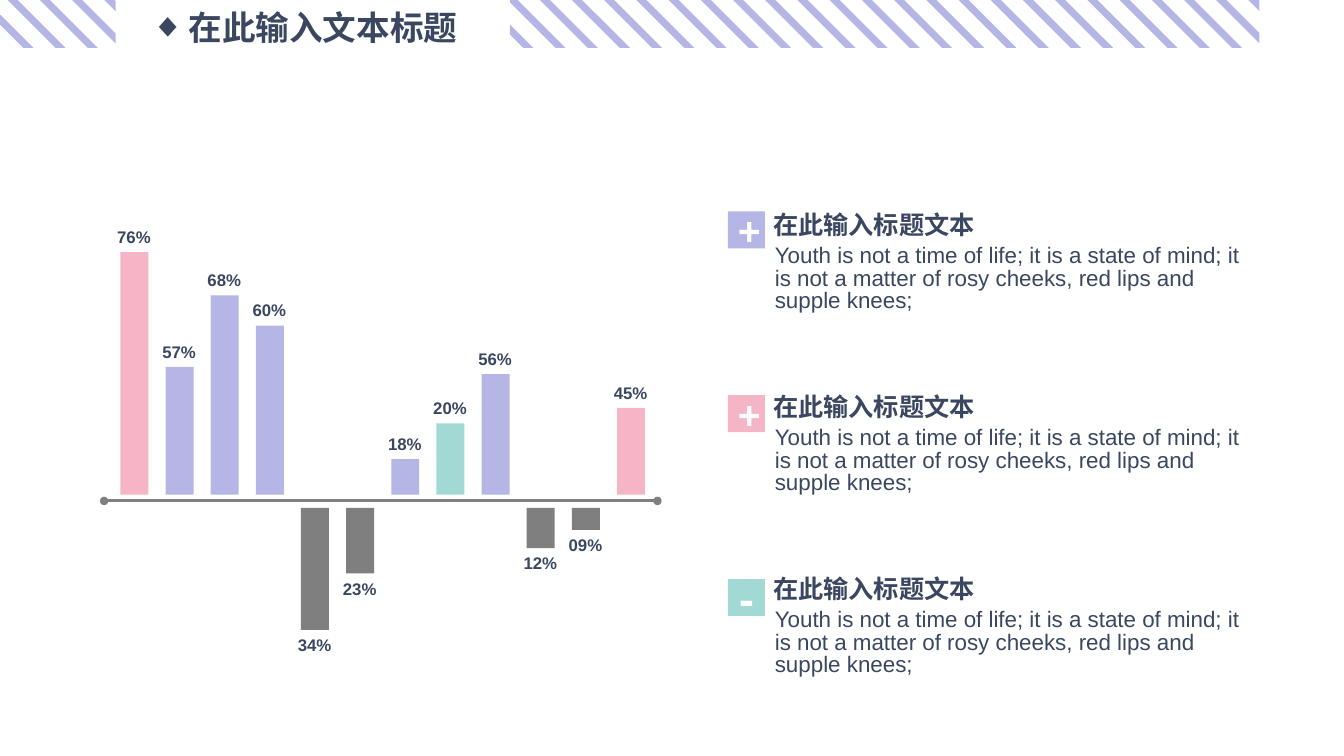
from lxml import etree
from pptx import Presentation
from pptx.dml.color import RGBColor
from pptx.enum import shapes, text
from pptx.oxml import ns
from pptx.util import Pt

COLORS = {"lilac": "B5B6E6", "pink": "F5B5C6", "mint": "A2D9D4", "gray": "7F7F7F",
          "axis": "808080", "ink": "3B4761", "white": "FFFFFF"}

# Header stripes: (left, right, bottom end of first stripe, number of stripes)
BANDS = [(364.3, 899.5, 373.7, 25), (-44.8, 82.6, 16.6, 5)]
STRIPE_W, STRIPE_H, STRIPE_PITCH = 7.2, 61.4, 23.01
BAND_TOP = -27.2  # the band bleeds over the top edge

# Bars: label, height (negative below the axis), colour
BARS = [("76%", 173.2, "pink"), ("57%", 91.4, "lilac"), ("68%", 142.4, "lilac"),
        ("60%", 120.8, "lilac"), ("34%", -87.2, "gray"), ("23%", -46.8, "gray"),
        ("18%", 25.4, "lilac"), ("20%", 51, "mint"), ("56%", 86.2, "lilac"),
        ("12%", -28.8, "gray"), ("09%", -15.8, "gray"), ("45%", 62.1, "pink")]
BAR_LEFT, BAR_PITCH, BAR_W = 86, 32.25, 20
BASE_UP, BASE_DOWN = 353.4, 362.8
LABEL_W, LABEL_H = 38.8, 21.8

# List items: sign, sign size, colour
ITEMS = [("+", 28, "lilac"), ("+", 28, "pink"), ("-", 32, "mint")]
ITEM_HEADING = "在此输入标题文本"
ITEM_BODY = ("Youth is not a time of life; it is a state of mind; it is not "
             "a matter of rosy cheeks, red lips and supple knees;")


def rgb(name):
    return RGBColor.from_string(COLORS[name])


def write(sp, content, size, color="ink", bold=True, frame=None, para=None):
    tf = sp.text_frame
    for key, value in (frame or {}).items():
        setattr(tf, key, value)
    p = tf.paragraphs[0]
    for key, value in (para or {}).items():
        setattr(p, key, value)
    r = p.add_run()
    r.text = content
    for key, value in {"name": "Arial", "size": Pt(size), "bold": bold}.items():
        setattr(r.font, key, value)
    r.font.color.rgb = rgb(color)
    return p


def paint(sp, color):
    sp.shadow.inherit = False
    sp.fill.solid()
    sp.fill.fore_color.rgb = rgb(color)
    sp.line.fill.background()


def add_rect(s, x, y, w, h, color):
    sp = s.shapes.add_shape(shapes.MSO_SHAPE.RECTANGLE, Pt(x), Pt(y), Pt(w), Pt(h))
    paint(sp, color)
    return sp


def add_text(s, x, y, w, h, content, size, wrap=False, bold=True, para=None):
    sp = s.shapes.add_textbox(Pt(x), Pt(y), Pt(w), Pt(h))
    frame = {"word_wrap": wrap, "auto_size": text.MSO_AUTO_SIZE.SHAPE_TO_FIT_TEXT}
    write(sp, content, size, bold=bold, frame=frame, para=para)


def add_stripe(s, left, right, bottom):
    """A 45-degree stripe cut off at the left and right ends of its band."""
    a = bottom - STRIPE_H
    b = a + STRIPE_W
    top_x, end_x = max(a, left), min(b + STRIPE_H, right)
    points = [(top_x, max(0, left - a)),
              (top_x, max(0, left - b)),
              (max(b, left), max(0, left - b)),
              (end_x, min(STRIPE_H, right - b)),
              (end_x, min(STRIPE_H, right - a)),
              (min(bottom, right), min(STRIPE_H, right - a))]
    points = [(Pt(x), Pt(BAND_TOP + y)) for x, y in points]
    builder = s.shapes.build_freeform(*points[0])
    builder.add_line_segments(points[1:])
    paint(builder.convert_to_shape(), "lilac")


def add_title(s, content):
    sp = s.shapes.title
    for key, value in {"left": 100.5, "top": 1.3, "width": 263.5, "height": 36.4}.items():
        setattr(sp, key, Pt(value))
    p = write(sp, content, 24,
              frame={"word_wrap": True, "vertical_anchor": text.MSO_ANCHOR.TOP,
                     "auto_size": text.MSO_AUTO_SIZE.NONE},
              para={"alignment": text.PP_ALIGN.LEFT, "space_before": Pt(0)})
    # Diamond bullet with hanging indent
    pPr = p._p.get_or_add_pPr()
    pPr.set("marL", str(Pt(27)))
    pPr.set("indent", str(-Pt(27)))
    etree.SubElement(pPr, ns.qn("a:buFont")).set("typeface", "Arial")
    etree.SubElement(pPr, ns.qn("a:buChar")).set("char", "◆")


def add_axis(s, x1, x2, y):
    line = s.shapes.add_connector(shapes.MSO_CONNECTOR.STRAIGHT, Pt(x1), Pt(y), Pt(x2), Pt(y))
    line.line.color.rgb = rgb("axis")
    line.line.width = Pt(2)
    ln = line.line._get_or_add_ln()
    for end in ("headEnd", "tailEnd"):
        etree.SubElement(ln, ns.qn("a:" + end)).set("type", "oval")
    etree.SubElement(line._element.spPr, ns.qn("a:effectLst"))


def add_bar(s, x, label, height, color):
    if height > 0:
        y = BASE_UP - height
        label_y = y - LABEL_H
    else:
        y = BASE_DOWN
        label_y = y - height
    add_rect(s, x, y, BAR_W, abs(height), color)
    add_text(s, x + (BAR_W - LABEL_W) / 2, label_y, LABEL_W, LABEL_H, label, 12)


def add_item(s, i, sign, size, color):
    sp = add_rect(s, 520, 151 + 131.3 * i, 26.4, 26.4, color)
    write(sp, sign, size, "white",
          frame={"word_wrap": True, "vertical_anchor": text.MSO_ANCHOR.MIDDLE},
          para={"alignment": text.PP_ALIGN.CENTER})
    y = 145.9 + 130 * i
    add_text(s, 545.2, y, 159.8, 29.1, ITEM_HEADING, 18)
    add_text(s, 546.4, y + 26.1, 355.7, 55.2, ITEM_BODY, 16, wrap=True, bold=False,
             para={"line_spacing": Pt(16)})


def main():
    prs = Presentation()
    prs.slide_width, prs.slide_height = Pt(960), Pt(540)
    s = prs.slides.add_slide(prs.slide_layouts[5])

    # Header
    add_title(s, "在此输入文本标题")
    for left, right, first, count in BANDS:
        for i in range(count):
            add_stripe(s, left, right, first + i * STRIPE_PITCH)

    # Bars on both sides of the axis
    add_axis(s, 74.4, 469.6, 357.8)
    for i, bar in enumerate(BARS):
        add_bar(s, BAR_LEFT + i * BAR_PITCH, *bar)

    # Signed list
    for i, item in enumerate(ITEMS):
        add_item(s, i, *item)

    prs.save("out.pptx")


if __name__ == "__main__":
    main()
